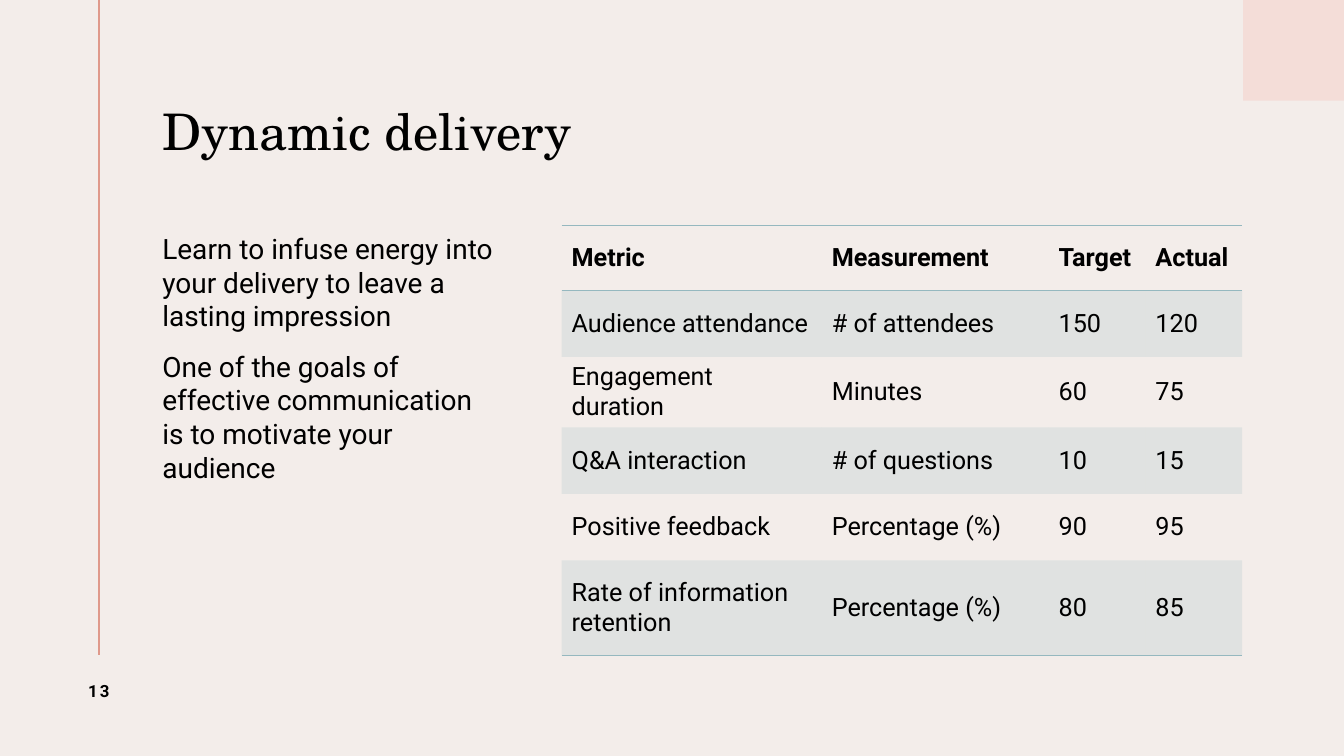
from lxml import etree
from pptx import Presentation
from pptx.dml.color import RGBColor
from pptx.enum import shapes, text
from pptx.oxml import ns
from pptx.util import Inches, Pt

INK, PAPER, BLUSH, ROSE, TEAL = "000000", "F3EDEA", "F4DDD8", "DF998B", "95B8BF"
SERIF, SANS = "TeX Gyre Schola", "Roboto"
MID = text.MSO_ANCHOR.MIDDLE
PLAIN = "{2D5ABB26-0587-4C30-8999-92F81FD0307C}"  # table style without grid

COLS = [2.58, 2.25, 0.96, 0.96]
ROWS = [0.64, 0.66, 0.7, 0.66, 0.66, 0.94]
DATA = [
    ["Metric", "Measurement", "Target", "Actual"],
    ["Audience attendance", "# of attendees", "150", "120"],
    ["Engagement duration", "Minutes", "60", "75"],
    ["Q&A interaction", "# of questions", "10", "15"],
    ["Positive feedback", "Percentage (%)", "90", "95"],
    ["Rate of information retention", "Percentage (%)", "80", "85"],
]


def color(code):
    return RGBColor.from_string(code)


def style(item, **values):
    for name, value in values.items():
        setattr(item, name, value)


def write(para, words, size, face=SANS, bold=False):
    run = para.add_run()
    run.text = words
    style(run.font, size=Pt(size), name=face, bold=bold)
    run.font.color.rgb = color(INK)
    return run


def frame(slide, box, left=0.1, anchor=MID):
    area = slide.shapes.add_textbox(*map(Inches, box)).text_frame
    style(area, word_wrap=True, vertical_anchor=anchor, margin_left=Inches(left))
    return area


# Backdrop: corner square and vertical rule
def decor(slide, width, rule_x, rule_end):
    style(slide.background.fill, **{})
    slide.background.fill.solid()
    slide.background.fill.fore_color.rgb = color(PAPER)

    square = slide.shapes.add_shape(
        shapes.MSO_SHAPE.RECTANGLE, Inches(width - 1), 0, Inches(1), Inches(1))
    square.shadow.inherit = False
    square.fill.solid()
    square.fill.fore_color.rgb = color(BLUSH)
    square.line.fill.background()

    rule = slide.shapes.add_connector(
        shapes.MSO_CONNECTOR.STRAIGHT, Inches(rule_x), 0, Inches(rule_x), Inches(rule_end))
    rule.line.color.rgb = color(ROSE)
    rule.line.width = Pt(1.5)
    etree.SubElement(rule._element.spPr, ns.qn("a:effectLst"))


def title(slide, box, words):
    para = frame(slide, box, left=0).paragraphs[0]
    para.line_spacing = 0.9
    write(para, words, 36, SERIF)


def body(slide, box, lines):
    area = frame(slide, box, left=0, anchor=text.MSO_ANCHOR.TOP)
    for i, words in enumerate(lines):
        para = area.add_paragraph() if i else area.paragraphs[0]
        para.space_after = Pt(12)
        write(para, words, 20)


def number(slide, box, words):
    para = frame(slide, box).paragraphs[0]
    para.alignment = text.PP_ALIGN.CENTER
    run = write(para, words, 12, bold=True)
    run._r.get_or_add_rPr().set("spc", "150")


# Table parts
def border(cell, side):
    line = etree.SubElement(cell._tc.get_or_add_tcPr(), ns.qn("a:" + side), w=str(Pt(1)))
    fill = etree.SubElement(line, ns.qn("a:solidFill"))
    etree.SubElement(fill, ns.qn("a:srgbClr"), val=TEAL)


def shade(cell):
    cell.fill.solid()
    cell.fill.fore_color.rgb = color(TEAL)
    tint = cell._tc.tcPr.find(ns.qn("a:solidFill"))[0]
    etree.SubElement(tint, ns.qn("a:alpha"), val="20000")


def metrics(slide, box):
    grid = slide.shapes.add_table(len(ROWS), len(COLS), *map(Inches, box)).table
    style(grid, first_row=False, horz_banding=False)
    grid._tbl.tblPr.find(ns.qn("a:tableStyleId")).text = PLAIN
    for col, width in zip(grid.columns, COLS):
        col.width = Inches(width)
    for r, height in enumerate(ROWS):
        grid.rows[r].height = Inches(height)
        sides = {0: ["lnT", "lnB"], len(ROWS) - 1: ["lnB"]}.get(r, [])
        for c, words in enumerate(DATA[r]):
            cell = grid.cell(r, c)
            cell.vertical_anchor = MID
            write(cell.text_frame.paragraphs[0], words, 18, bold=r == 0)
            for side in sides:
                border(cell, side)
            if r % 2:
                shade(cell)
            else:
                cell.fill.background()


def main():
    deck = Presentation()
    style(deck, slide_width=Inches(13.33), slide_height=Inches(7.5))
    slide = deck.slides.add_slide(deck.slide_layouts[6])
    decor(slide, 13.33, 0.98, 6.5)
    title(slide, (1.61, 0.55, 10.73, 1.56), "Dynamic delivery")
    body(slide, (1.61, 2.25, 3.38, 4.23), [
        "Learn to infuse energy into your delivery to leave a lasting impression",
        "One of the goals of effective communication is to motivate your audience",
    ])
    metrics(slide, (5.57, 2.24, sum(COLS), sum(ROWS)))
    number(slide, (0.45, 6.5, 1.06, 0.71), "13")
    deck.save("out.pptx")


if __name__ == "__main__":
    main()
